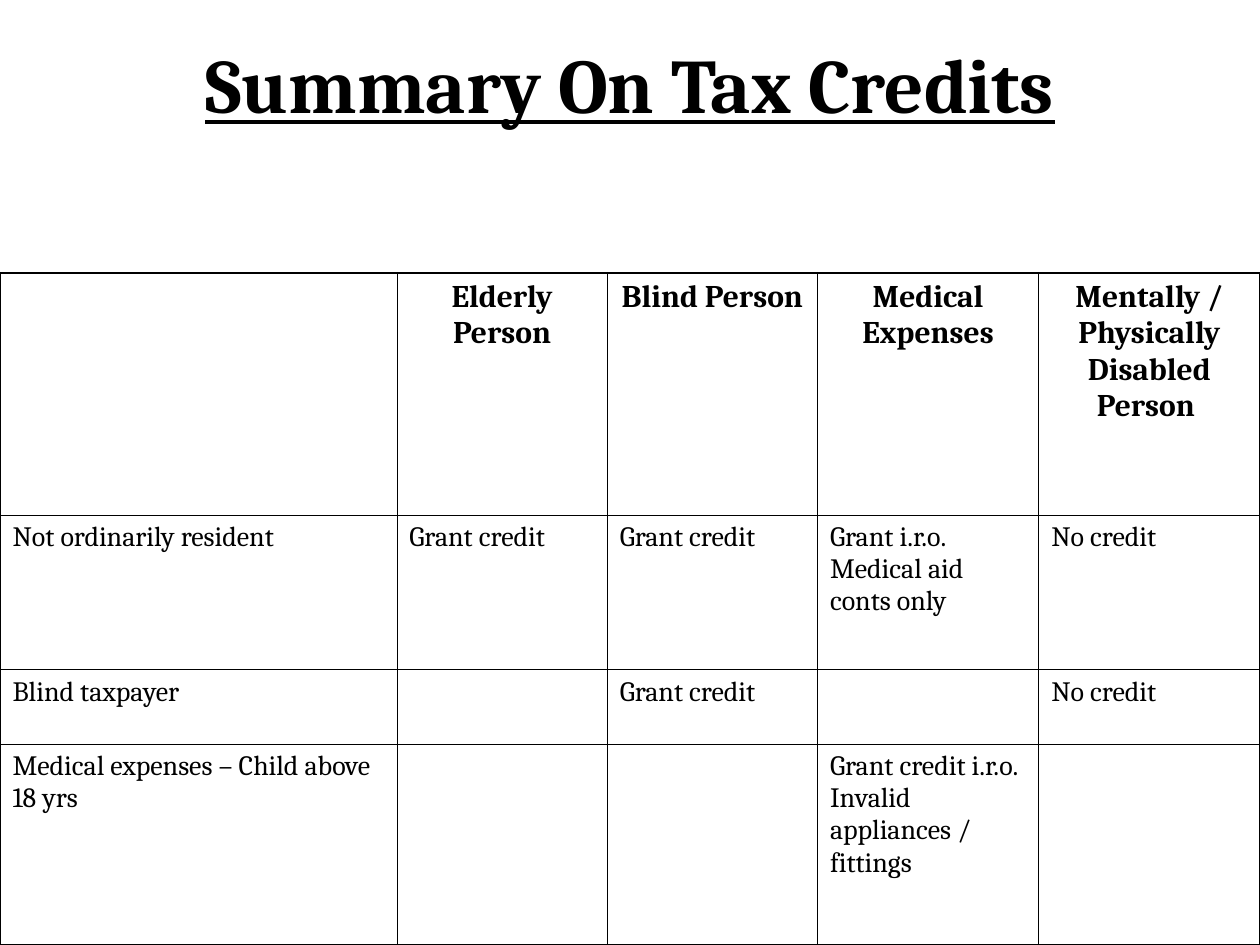
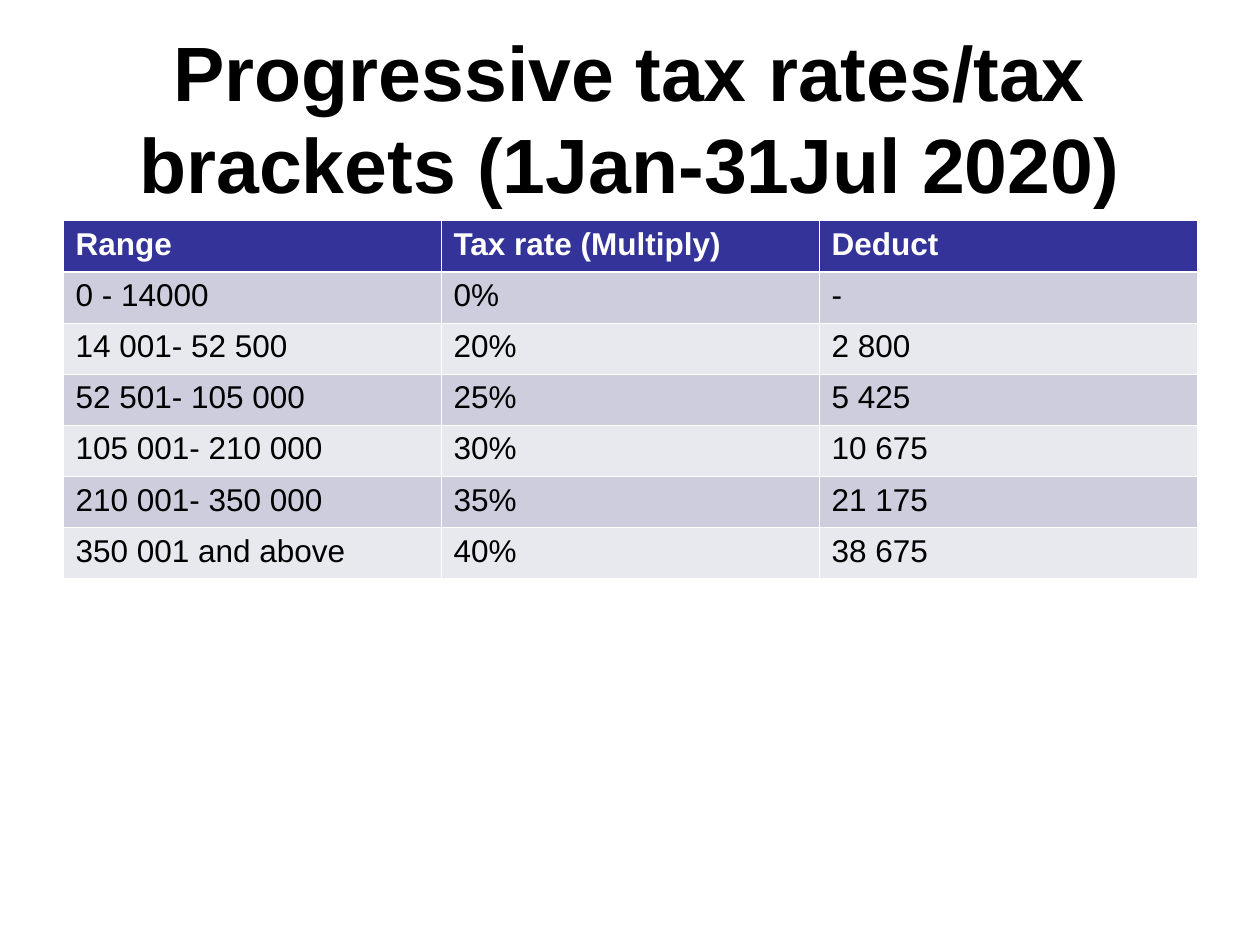
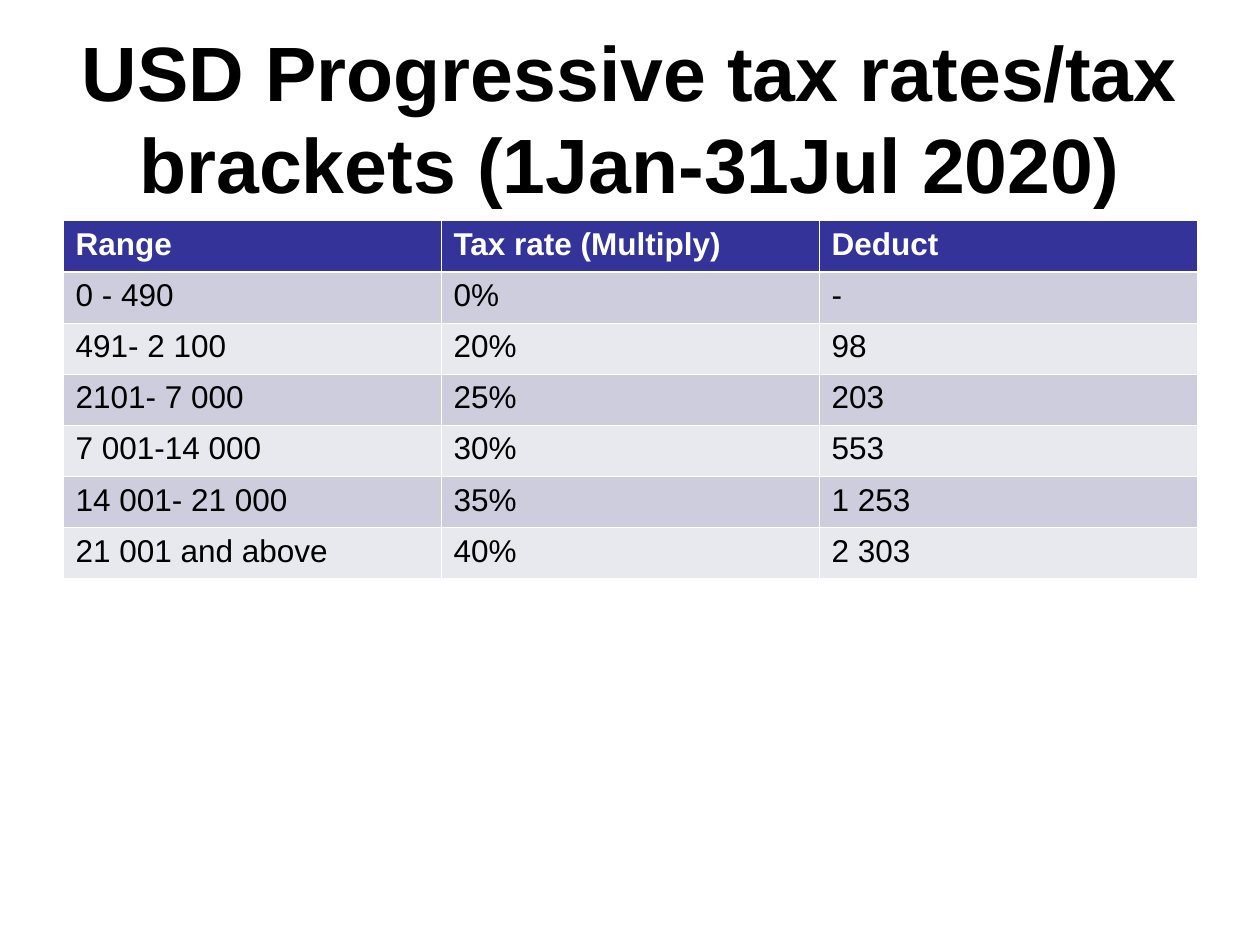
from dataclasses import dataclass

from lxml.etree import SubElement
from pptx import Presentation
from pptx.dml.color import RGBColor
from pptx.enum.text import MSO_ANCHOR, MSO_AUTO_SIZE, PP_ALIGN
from pptx.oxml.ns import qn
from pptx.util import Cm, Pt

BLACK, WHITE, NAVY = "000000", "FFFFFF", "333399"
BANDS = ("CDCDDE", "E8E8EF")
SERIF, SANS = "Cambria", "Arial"
MARGIN, WIDE = 1.27, 22.86
THIN, EDGE, RULE = 0.45, 1.08, 1.47


@dataclass(frozen=True)
class Look:
    font: str
    ink: str
    size: float
    bold: bool = False
    line: bool = False
    align: PP_ALIGN = PP_ALIGN.LEFT


@dataclass(frozen=True)
class Grid:
    left: float
    top: float
    cols: tuple[float, ...]
    rows: tuple[float, ...]
    head: Look
    body: Look
    stroke: str
    edge: float
    rule: float
    fills: tuple[str, ...] = ()


@dataclass(frozen=True)
class Page:
    title: str
    look: Look
    tall: float
    grid: Grid
    cells: tuple[tuple[str, ...], ...]


CREDIT = Grid(
    0, 5.5, (8, 4.24, 4.24, 4.46, 4.46), (4.88, 3.12, 1.5, 4.04),
    Look(SERIF, BLACK, 18, True, align=PP_ALIGN.CENTER),
    Look(SERIF, BLACK, 16), BLACK, EDGE, THIN)
RATE = Grid(
    MARGIN, 4.45, (WIDE / 3,) * 3, (1.03,) * 7,
    Look(SANS, WHITE, 18, True), Look(SANS, BLACK, 18),
    WHITE, THIN, RULE, (NAVY, *BANDS * 3))
FORMAL = Look(SERIF, BLACK, 44, True, True, PP_ALIGN.CENTER)
PLAIN = Look(SANS, BLACK, 44, True, align=PP_ALIGN.CENTER)
RATES = ("0%", "20%", "25%", "30%", "35%", "40%")


def bracket(title: str, spans: tuple[str, ...], cuts: tuple[str, ...]) -> Page:
    """Describe a page of tax brackets."""
    head = ("Range", "Tax rate (Multiply)", "Deduct")
    return Page(title, PLAIN, 3.18, RATE, (head, *zip(spans, RATES, cuts)))


PAGES = (
    Page("Summary On Tax Credits", FORMAL, 1.83, CREDIT, (
        ("", "Elderly Person", "Blind Person", "Medical Expenses",
         "Mentally / Physically Disabled Person "),
        ("Not ordinarily resident", "Grant credit", "Grant credit",
         "Grant i.r.o. Medical aid conts only", "No credit"),
        ("Blind taxpayer", "", "Grant credit", "", "No credit"),
        ("Medical expenses – Child above 18 yrs", "", "",
         "Grant credit i.r.o. Invalid appliances / fittings", ""))),
    bracket(
        "Progressive tax rates/tax brackets (1Jan-31Jul 2020)",
        ("0 - 14000", "14 001- 52 500", "52 501- 105 000",
         "105 001- 210 000", "210 001- 350 000", "350 001 and above"),
        ("-", "2 800", "5 425", "10 675", "21 175", "38 675")),
    bracket(
        "USD Progressive tax rates/tax brackets (1Jan-31Jul 2020)",
        ("0 - 490", "491- 2 100", "2101- 7 000",
         "7 001-14 000", "14 001- 21 000", "21 001 and above"),
        ("-", "98", "203", "553", "1 253", "2 303")),
)


def tint(code: str) -> RGBColor:
    """Turn a hex string into a colour."""
    return RGBColor.from_string(code)


def write(frame, text: str, look: Look) -> None:
    """Put one styled run into a text frame."""
    para = frame.paragraphs[0]
    para.alignment = look.align
    run = para.add_run()
    run.text = text
    font = run.font
    font.name, font.size = look.font, Pt(look.size)
    font.bold, font.underline = look.bold, look.line
    font.color.rgb = tint(look.ink)


def border(cell, side: str, width: float, code: str) -> None:
    """Draw one side of a cell."""
    props = cell._tc.get_or_add_tcPr()
    line = SubElement(props, qn(f"a:ln{side}"), w=str(Pt(width)))
    fill = SubElement(line, qn("a:solidFill"))
    SubElement(fill, qn("a:srgbClr"), val=code)


def draw(slide, grid: Grid, cells: tuple[tuple[str, ...], ...]) -> None:
    """Draw a table from its grid and wording."""
    table = slide.shapes.add_table(
        len(grid.rows), len(grid.cols), Cm(grid.left), Cm(grid.top),
        Cm(sum(grid.cols)), Cm(sum(grid.rows))).table
    table.first_row = table.horz_banding = False
    for col, width in zip(table.columns, grid.cols):
        col.width = Cm(width)
    for row, tall in zip(table.rows, grid.rows):
        row.height = Cm(tall)
    end, last = len(grid.cols) - 1, len(grid.rows) - 1
    for r, words in enumerate(cells):
        above = {0: grid.edge, 1: grid.rule}.get(r, THIN)
        below = {0: grid.rule, last: grid.edge}.get(r, THIN)
        for c, text in enumerate(words):
            cell = table.cell(r, c)
            sides = {"L": THIN if c else grid.edge,
                     "R": grid.edge if c == end else THIN,
                     "T": above, "B": below}
            for side, width in sides.items():
                border(cell, side, width, grid.stroke)
            if grid.fills:
                cell.fill.solid()
                cell.fill.fore_color.rgb = tint(grid.fills[r])
            else:
                cell.fill.background()
            if text:
                write(cell.text_frame, text, grid.body if r else grid.head)


def build(deck, page: Page) -> None:
    """Add one page with its title and table."""
    slide = deck.slides.add_slide(deck.slide_layouts[5])
    title = slide.shapes.title
    title.left, title.top = Cm(MARGIN), Cm(0.76)
    title.width, title.height = Cm(WIDE), Cm(page.tall)
    frame = title.text_frame
    frame.auto_size, frame.word_wrap = MSO_AUTO_SIZE.NONE, True
    frame.vertical_anchor = MSO_ANCHOR.MIDDLE
    write(frame, page.title, page.look)
    draw(slide, page.grid, page.cells)


def main() -> None:
    """Build and save the deck."""
    deck = Presentation()
    deck.slide_width, deck.slide_height = Cm(25.4), Cm(19.05)
    for page in PAGES:
        build(deck, page)
    deck.save("out.pptx")


if __name__ == "__main__":
    main()
